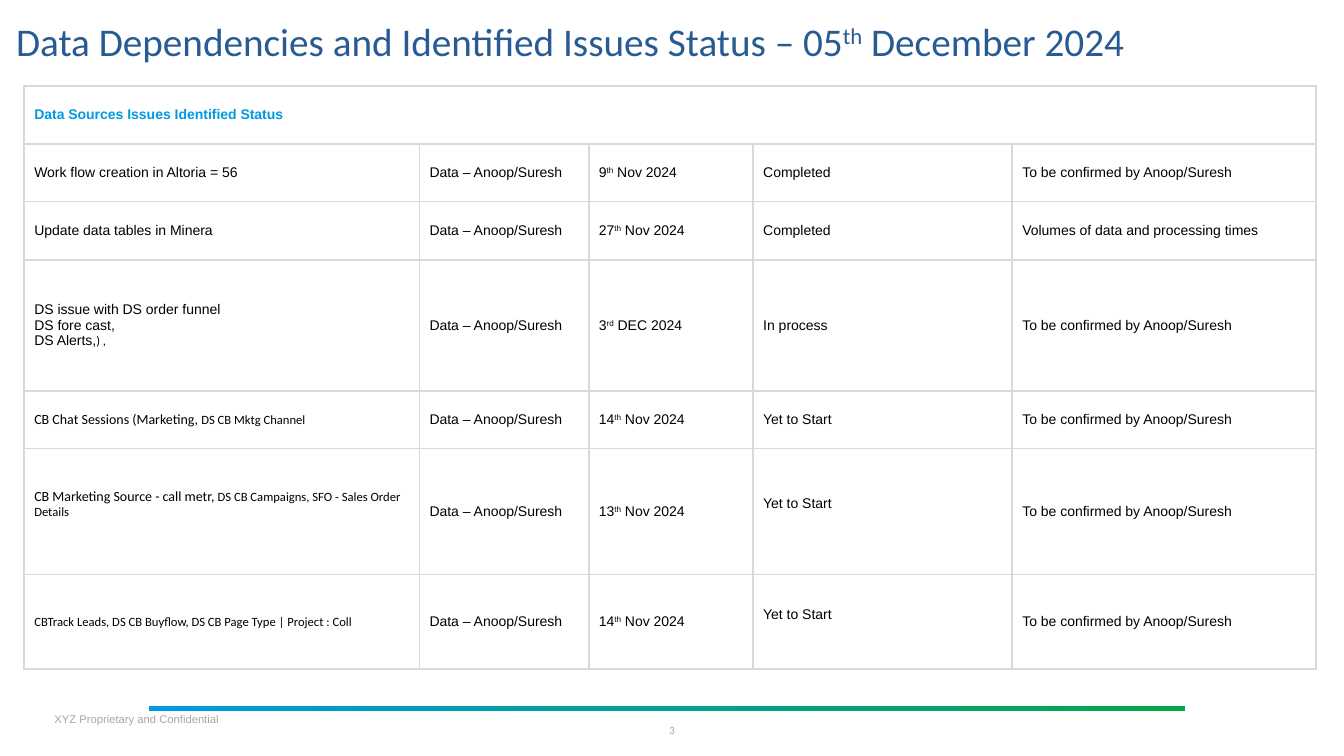
"""Build the data dependencies and issues status slide."""
from dataclasses import dataclass

from lxml import etree
from pptx import Presentation
from pptx.dml.color import RGBColor
from pptx.enum.shapes import MSO_SHAPE
from pptx.enum.text import MSO_ANCHOR, MSO_AUTO_SIZE, PP_ALIGN
from pptx.oxml.ns import qn
from pptx.util import Inches, Pt

RECT = MSO_SHAPE.RECTANGLE
MIDDLE = MSO_ANCHOR.MIDDLE
FIXED = MSO_AUTO_SIZE.NONE
LEFT, CENTER = PP_ALIGN.LEFT, PP_ALIGN.CENTER


@dataclass(frozen=True)
class Theme:
    """Colours, fonts and type sizes."""
    title: str = "285A93"
    blue: str = "009AE0"
    green: str = "00A846"
    grey: str = "A6A6A6"
    rule: str = "D9D9D9"
    black: str = "000000"
    white: str = "FFFFFF"
    sans: str = "Arial"
    alt: str = "Calibri"
    head: float = 28
    body: float = 10
    small: float = 9
    foot: float = 8


@dataclass(frozen=True)
class Run:
    """A piece of text with its departures from the paragraph."""
    text: str
    face: str = ""
    size: float = 0
    up: bool = False


@dataclass(frozen=True)
class Issue:
    """One row of the status table."""
    lines: list[list[Run]]
    date: list[Run]
    state: str
    note: str = "To be confirmed by Anoop/Suresh"
    owner: str = "Data – Anoop/Suresh"
    lift: tuple[int, ...] = ()


@dataclass(frozen=True)
class Label:
    """A small footer text."""
    text: str
    box: tuple[float, float, float, float]
    face: str
    align: PP_ALIGN


T = Theme()


def alt(text: str, size: float = T.small) -> Run:
    """Return a run in the second font."""
    return Run(text, T.alt, size)


def day(num: str, mark: str, rest: str) -> list[Run]:
    """Return a date with a raised ordinal mark."""
    return [Run(num), Run(mark, up=True), Run(f" {rest}")]


ISSUES = [
    Issue([[Run("Work flow creation in Altoria = 56")]],
          day("9", "th", "Nov 2024"), "Completed"),
    Issue([[Run("Update data tables in Minera")]],
          day("27", "th", "Nov 2024"), "Completed",
          "Volumes of data and processing times"),
    Issue([[Run("DS issue with DS order funnel")], [Run("DS fore cast,")],
           [Run("DS Alerts,"), alt(") ,")]],
          day("3", "rd", "DEC 2024"), "In process"),
    Issue([[alt("CB Chat Sessions (Marketing, ", T.body), alt("DS CB Mktg Channel")]],
          day("14", "th", "Nov 2024"), "Yet to Start"),
    Issue([[alt("CB Marketing Source - call metr, ", T.body),
            alt("DS CB Campaigns, SFO - Sales Order Details")]],
          day("13", "th", "Nov 2024"), "Yet to Start", lift=(0, 3)),
    Issue([[alt("CBTrack Leads, DS CB Buyflow, DS CB Page Type | Project : Coll")]],
          day("14", "th", "Nov 2024"), "Yet to Start", lift=(3,)),
]
COLS = [3.92, 1.68, 1.63, 0.26, 2.31, 3.01]
ROWS = [0.58, 0.57, 0.58, 1.3, 0.57, 1.25, 0.94]
LABELS = [
    Label("3", (6.48, 7.13, 0.37, 0.23), T.alt, CENTER),
    Label("XYZ Proprietary and Confidential", (0.54, 7.02, 2, 0.23), T.sans, LEFT),
]


def rgb(code: str) -> RGBColor:
    """Return a colour from its hex code."""
    return RGBColor.from_string(code)


def write(frame, lines: list[list[Run]], face: str, size: float, color: str,
          bold: bool = False, align: PP_ALIGN = LEFT) -> None:
    """Fill a text frame with paragraphs of runs."""
    for i, runs in enumerate(lines):
        para = frame.add_paragraph() if i else frame.paragraphs[0]
        para.alignment = align
        font = para.font
        font.name, font.size, font.bold = face, Pt(size), bold
        font.color.rgb = rgb(color)
        for item in runs:
            run = para.add_run()
            run.text = item.text
            if item.face:
                run.font.name = item.face
            if item.size:
                run.font.size = Pt(item.size)
            if item.up:
                run.font._element.set("baseline", "30000")


def pad(frame, top: float = 0) -> None:
    """Clear the insets of a frame and centre its text in height."""
    frame.word_wrap, frame.auto_size = True, FIXED
    frame.vertical_anchor = MIDDLE
    frame.margin_left = frame.margin_right = frame.margin_bottom = 0
    frame.margin_top = Inches(top)


def edge(cell) -> None:
    """Give a cell its borders and fill."""
    props = cell._tc.get_or_add_tcPr()
    for side in ("lnL", "lnR", "lnT", "lnB"):
        line = etree.SubElement(props, qn(f"a:{side}"), w=str(Pt(1.5)))
        fill = etree.SubElement(line, qn("a:solidFill"))
        etree.SubElement(fill, qn("a:srgbClr"), val=T.rule)
    cell.fill.solid()
    cell.fill.fore_color.rgb = rgb(T.white)
    cell.vertical_anchor = MIDDLE


def add_title(slide) -> None:
    """Place and write the title."""
    title = slide.shapes.title
    title.left, title.top = Inches(0.16), Inches(0.09)
    title.width, title.height = Inches(12.61), Inches(0.51)
    frame = title.text_frame
    pad(frame, 0.2)
    runs = day("Data Dependencies and Identified Issues Status – 05", "th", "December 2024")
    write(frame, [runs], T.alt, T.head, T.title)
    frame.paragraphs[0].line_spacing = 0.8


def add_grid(slide) -> None:
    """Draw the status table."""
    grid = slide.shapes.add_table(
        len(ROWS), len(COLS), Inches(0.24), Inches(0.85),
        Inches(sum(COLS)), Inches(sum(ROWS))).table
    for col, width in zip(grid.columns, COLS):
        col.width = Inches(width)
    for row, height in zip(grid.rows, ROWS):
        row.height = Inches(height)
    for cell in grid.iter_cells():
        edge(cell)
    head = grid.cell(0, 0)
    head.merge(grid.cell(0, len(COLS) - 1))
    write(head.text_frame, [[Run("Data Sources Issues Identified Status")]],
          T.sans, T.body, T.blue, True)
    for r, issue in enumerate(ISSUES, 1):
        grid.cell(r, 3).merge(grid.cell(r, 4))
        texts = {0: issue.lines, 1: [[Run(issue.owner)]], 2: [issue.date],
                 3: [[Run(issue.state)]], 5: [[Run(issue.note)]]}
        for c, lines in texts.items():
            cell = grid.cell(r, c)
            write(cell.text_frame, lines, T.sans, T.body, T.black)
            if c in issue.lift:
                cell.margin_bottom = Inches(0.2)


def add_foot(slide) -> None:
    """Draw the gradient bar and the footer texts."""
    bar = slide.shapes.add_shape(RECT, Inches(1.48), Inches(7), Inches(10.27), Inches(0.05))
    bar.shadow.inherit = False
    bar.line.fill.background()
    bar.fill.gradient()
    bar.fill.gradient_angle = 0
    for stop, color in zip(bar.fill.gradient_stops, (T.blue, T.green)):
        stop.color.rgb = rgb(color)
    for label in LABELS:
        frame = slide.shapes.add_textbox(*map(Inches, label.box)).text_frame
        pad(frame)
        write(frame, [[Run(label.text)]], label.face, T.foot, T.grey, align=label.align)


def main() -> None:
    """Build and save the deck."""
    deck = Presentation()
    deck.slide_width, deck.slide_height = Inches(13.33), Inches(7.5)
    slide = deck.slides.add_slide(deck.slide_layouts[5])
    add_title(slide)
    add_grid(slide)
    add_foot(slide)
    deck.save("out.pptx")


if __name__ == "__main__":
    main()
